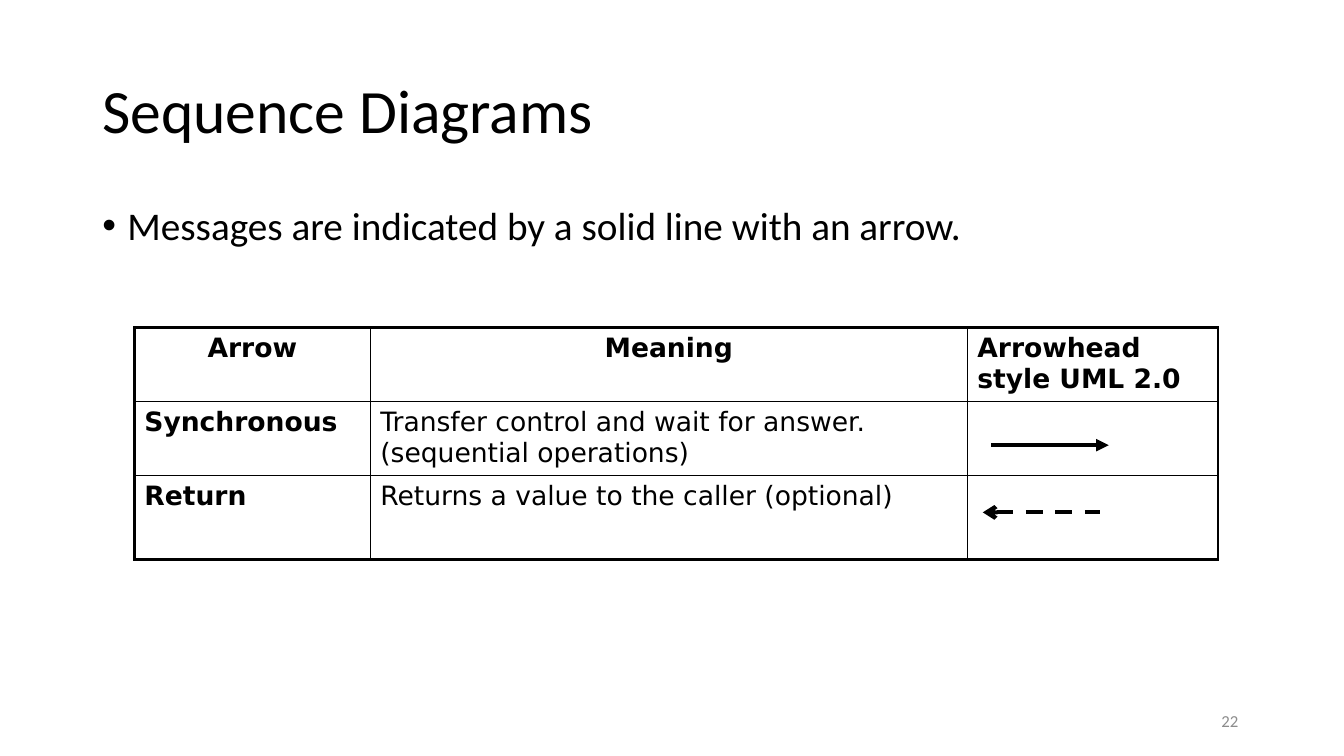
"""Build the slide on sequence diagram messages."""
from typing import NamedTuple

from lxml.etree import SubElement
from pptx import Presentation
from pptx.dml.color import RGBColor as Rgb
from pptx.enum.dml import MSO_LINE_DASH_STYLE as Dash
from pptx.enum.shapes import MSO_CONNECTOR_TYPE as Link
from pptx.enum.text import MSO_VERTICAL_ANCHOR as Anchor, PP_PARAGRAPH_ALIGNMENT as Align
from pptx.oxml import parse_xml
from pptx.oxml.ns import nsdecls, qn
from pptx.slide import Slide
from pptx.table import _Cell as Cell
from pptx.text.text import TextFrame as Frame
from pptx.util import Pt

BLACK = "000000"
THICK, THIN = 2.25, 1


class Label(NamedTuple):
    text: str
    box: tuple[float, float, float, float]
    size: float
    color: str = BLACK
    anchor: Anchor = Anchor.MIDDLE
    align: Align = Align.LEFT
    space: float = 0.9
    bullet: bool = False
    inset: tuple[float, float] = (7.2, 3.6)


class Arrow(NamedTuple):
    left: float
    top: float
    end: str
    head: str
    dash: Dash


LABELS = [
    Label("Sequence Diagrams", (66, 28.75, 828, 104.5), 44),
    Label("Messages are indicated by a solid line with an arrow.",
          (66, 144, 828, 342.5), 28, anchor=Anchor.TOP, bullet=True),
    Label("22", (678, 500.5, 216, 28.75), 12, "8C8C8C",
          align=Align.RIGHT, space=1, inset=(9.4, 5)),
]
ARROWS = [
    Arrow(708, 318, "tailEnd", "triangle", Dash.SOLID),
    Arrow(702, 366, "headEnd", "arrow", Dash.DASH),
]
ROWS = [
    ("Arrow", "Meaning", "Arrowhead style UML 2.0"),
    ("Synchronous", "Transfer control and wait for answer. (sequential operations)", ""),
    ("Return", "Returns a value to the caller (optional)", ""),
]
WIDTHS = (168.5, 426.5, 179)
HEIGHTS = (52, 52.5, 60)


def tint(code: str) -> Rgb:
    """Turn a hex string into a colour."""
    return Rgb.from_string(code)


def write(frame: Frame, text: str, *, size: float, font: str = "Calibri",
          color: str = BLACK, bold: bool = False, align: Align = Align.LEFT,
          space: float = 1, bullet: bool = False) -> None:
    """Put formatted text in a frame."""
    para = frame.paragraphs[0]
    para.text = text
    if bullet:
        props = para._p.get_or_add_pPr()
        props.set("marL", str(Pt(18)))
        props.set("indent", str(-Pt(18)))
        SubElement(props, qn("a:buFont"), typeface="Arial")
        SubElement(props, qn("a:buChar"), char="•")
    para.alignment = align
    para.line_spacing = space
    style = para.font if not para.runs else para.runs[0].font
    style.name, style.size, style.bold = font, Pt(size), bold
    style.color.rgb = tint(color)


def add_label(slide: Slide, label: Label) -> None:
    """Add a text box."""
    frame = slide.shapes.add_textbox(*map(Pt, label.box)).text_frame
    frame.word_wrap = True
    frame.vertical_anchor = label.anchor
    side, edge = map(Pt, label.inset)
    frame.margin_left = frame.margin_right = side
    frame.margin_top = frame.margin_bottom = edge
    write(frame, label.text, size=label.size, color=label.color,
          align=label.align, space=label.space, bullet=label.bullet)


def add_edges(cell: Cell, row: int, col: int) -> None:
    """Draw thick outer and thin inner borders."""
    outer = {"L": col == 0, "R": col == len(WIDTHS) - 1,
             "T": row == 0, "B": row == len(ROWS) - 1}
    props = cell._tc.get_or_add_tcPr()
    for spot, (side, edge) in enumerate(outer.items()):
        width = Pt(THICK if edge else THIN)
        props.insert(spot, parse_xml(
            f'<a:ln{side} {nsdecls("a")} w="{width}"><a:solidFill>'
            f'<a:srgbClr val="{BLACK}"/></a:solidFill></a:ln{side}>'))


def add_grid(slide: Slide) -> None:
    """Add the table of arrows."""
    grid = slide.shapes.add_table(len(ROWS), len(WIDTHS), Pt(96), Pt(234),
                                  Pt(sum(WIDTHS)), Pt(sum(HEIGHTS))).table
    grid.first_row = grid.horz_banding = False
    for part, width in zip(grid.columns, WIDTHS):
        part.width = Pt(width)
    for part, height in zip(grid.rows, HEIGHTS):
        part.height = Pt(height)
    for row, texts in enumerate(ROWS):
        for col, text in enumerate(texts):
            cell = grid.cell(row, col)
            cell.fill.background()
            add_edges(cell, row, col)
            write(cell.text_frame, text, size=19, font="DejaVu Sans",
                  bold=row == 0 or col == 0,
                  align=Align.CENTER if row == 0 and col < 2 else Align.LEFT)


def add_arrow(slide: Slide, arrow: Arrow) -> None:
    """Add a message arrow."""
    link = slide.shapes.add_connector(
        Link.STRAIGHT, Pt(arrow.left), Pt(arrow.top), Pt(arrow.left + 84), Pt(arrow.top))
    link.line.width = Pt(3)
    link.line.color.rgb = tint(BLACK)
    link.line.dash_style = arrow.dash
    SubElement(link.line._get_or_add_ln(), qn(f"a:{arrow.end}"), type=arrow.head)
    SubElement(link._element.spPr, qn("a:effectLst"))


def main() -> None:
    """Build and save the slide."""
    deck = Presentation()
    deck.slide_width, deck.slide_height = Pt(960), Pt(540)
    slide = deck.slides.add_slide(deck.slide_layouts[6])
    for label in LABELS:
        add_label(slide, label)
    add_grid(slide)
    for arrow in ARROWS:
        add_arrow(slide, arrow)
    deck.save("out.pptx")


if __name__ == "__main__":
    main()
